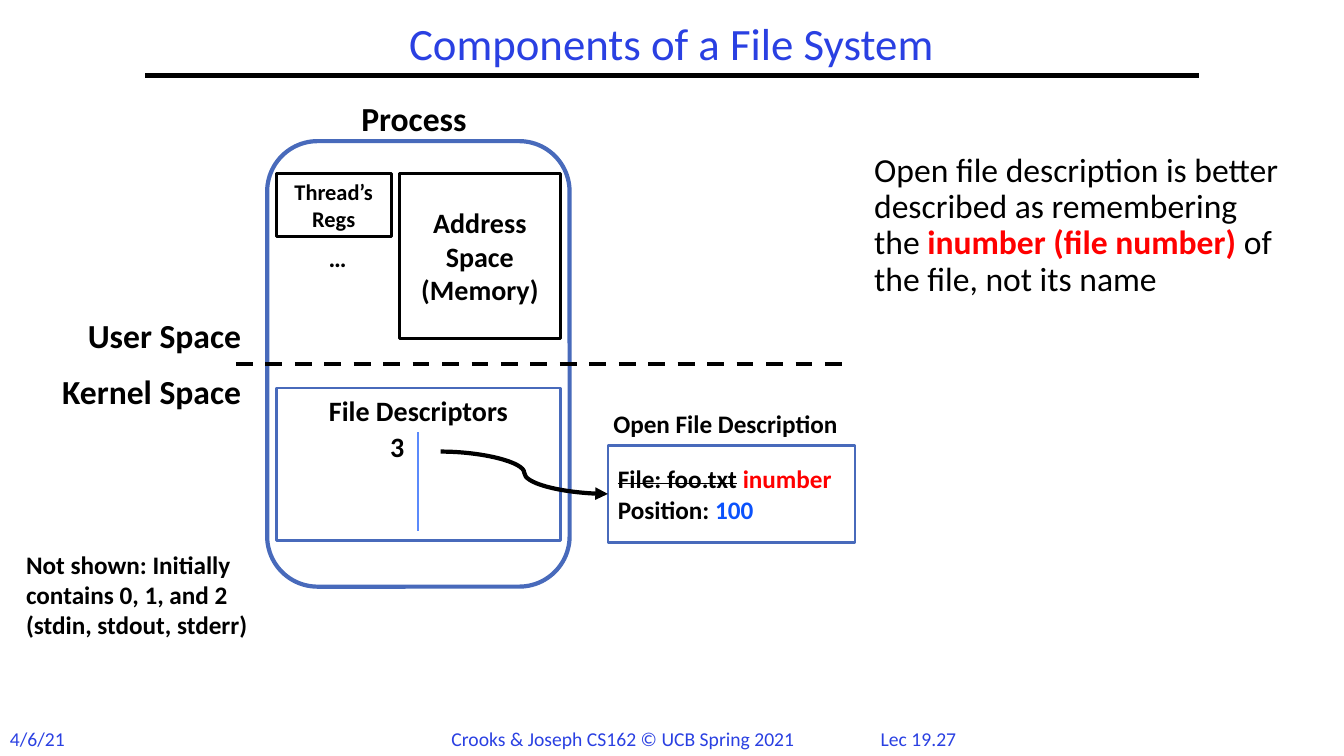
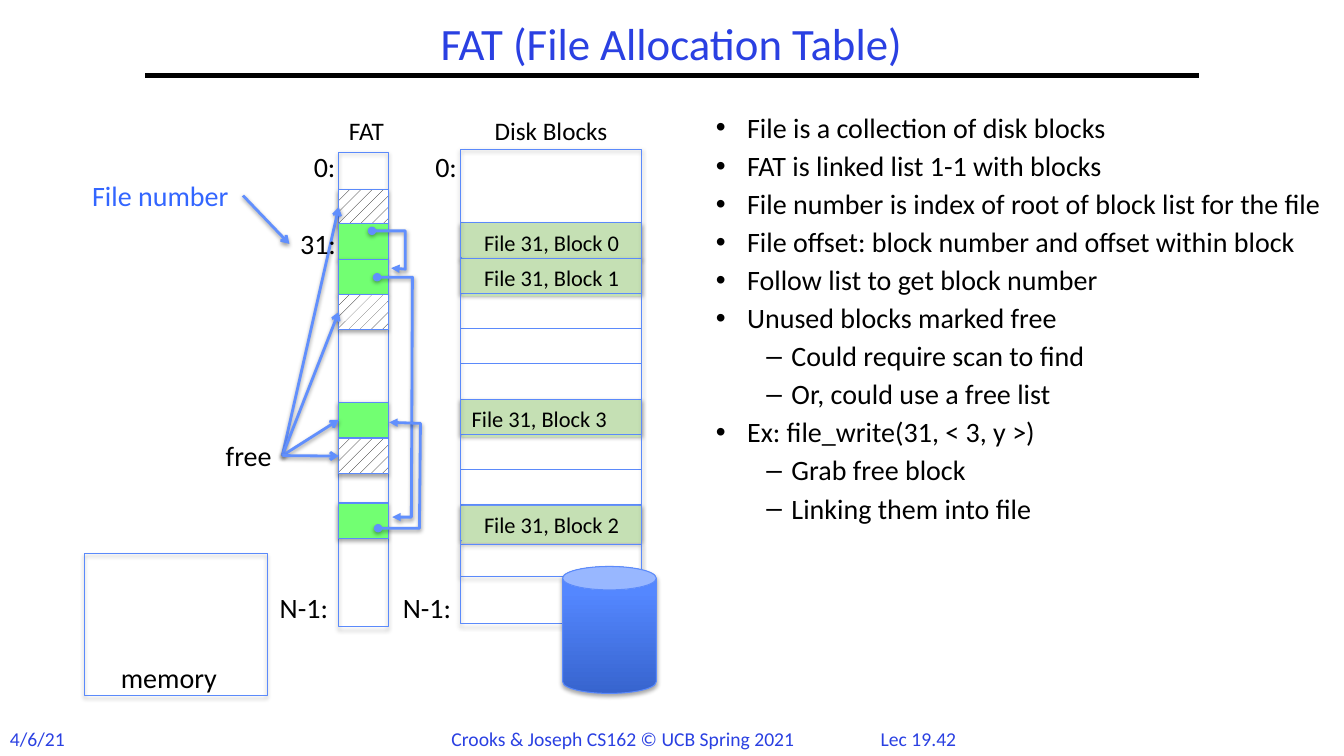
"""Build two lecture slides on file system components and the file allocation table."""
from dataclasses import dataclass
from typing import NamedTuple, Optional

from lxml import etree
from pptx import Presentation
from pptx.dml.color import RGBColor
from pptx.enum.dml import MSO_LINE, MSO_PATTERN
from pptx.enum.shapes import MSO_CONNECTOR, MSO_SHAPE
from pptx.enum.text import MSO_ANCHOR, MSO_AUTO_SIZE, PP_ALIGN
from pptx.oxml.ns import qn
from pptx.util import Inches, Pt

LEFT, CENTER, RIGHT = PP_ALIGN.LEFT, PP_ALIGN.CENTER, PP_ALIGN.RIGHT
TOP, MIDDLE = MSO_ANCHOR.TOP, MSO_ANCHOR.MIDDLE
RECT, ROUNDED, CAN = MSO_SHAPE.RECTANGLE, MSO_SHAPE.ROUNDED_RECTANGLE, MSO_SHAPE.CAN
STRAIGHT, CURVE = MSO_CONNECTOR.STRAIGHT, MSO_CONNECTOR.CURVE
FIT_SHAPE, NO_FIT = MSO_AUTO_SIZE.SHAPE_TO_FIT_TEXT, MSO_AUTO_SIZE.NONE
DASH, HATCH = MSO_LINE.DASH, MSO_PATTERN.PERCENT_10
LEFT_SIDE = 1
FONT = "Calibri"
COLORS = {
    "black": "000000", "white": "FFFFFF", "red": "FF0000", "title": "2A40E2",
    "frame": "486ABB", "edge": "5B8AFB", "arrow": "618FFD", "position": "0B52FC",
    "number": "3366FF", "used": "72FF72", "block": "C5E0B4",
    "can_dark": "3764CE", "can_light": "5487FF",
}


class Box(NamedTuple):
    left: float
    top: float
    width: float
    height: float


class Point(NamedTuple):
    x: float
    y: float


class Shadow(NamedTuple):
    alpha: int
    distance: float


@dataclass(frozen=True)
class Run:
    text: str
    color: str = "black"
    bold: bool = False
    strike: bool = False


@dataclass(frozen=True)
class Label:
    box: Box
    text: str
    size: int = 20
    align: PP_ALIGN = CENTER
    bold: bool = False
    color: str = "black"
    wrap: bool = False


@dataclass(frozen=True)
class Bullet:
    text: str
    level: int = 0


class FatCell(NamedTuple):
    top: float
    used: bool
    free_arrow: bool


class FileBlock(NamedTuple):
    row: int
    number: int
    align: PP_ALIGN


SHAPE_SHADOW, LINE_SHADOW = Shadow(35, 1.8), Shadow(38, 1.6)
FOOTERS = (
    Label(Box(0, 7.16, 0.8, 0.34), "4/6/21", 14, LEFT, color="title"),
    Label(Box(4.38, 7.16, 3.76, 0.34), "Crooks & Joseph CS162 © UCB Spring 2021",
          14, LEFT, color="title"),
)
PROCESS_LABELS = (
    Label(Box(0.45, 3.08, 2.04, 0.5), "User Space", 24, RIGHT, True),
    Label(Box(0.15, 3.63, 2.34, 0.5), "Kernel Space", 24, RIGHT, True),
    Label(Box(3.35, 0.92, 1.51, 0.5), "Process", 24, CENTER, True),
    Label(Box(3.75, 4.21, 0.36, 0.44), "3", 20, RIGHT, True),
    Label(Box(5.79, 4, 2.81, 0.4), "Open File Description", 18, CENTER, True),
    Label(Box(3.16, 2.35, 0.45, 0.4), "…", 18, LEFT, True),
    Label(Box(0.16, 5.4, 2.69, 1.31),
          "Not shown: Initially contains 0, 1, and 2 (stdin, stdout, stderr)",
          18, LEFT, True, wrap=True),
)
FAT_LABELS = (
    Label(Box(4.61, 1.09, 1.71, 0.4), "Disk Blocks", 18),
    Label(Box(3.31, 1.09, 0.65, 0.4), "FAT", 18),
    Label(Box(3.86, 5.81, 0.75, 0.44), "N-1:"),
    Label(Box(4.19, 1.43, 0.47, 0.44), "0:"),
    Label(Box(3, 1.43, 0.44, 0.44), "0:"),
    Label(Box(2.65, 5.81, 0.73, 0.44), "N-1:"),
    Label(Box(2.86, 2.2, 0.59, 0.44), "31:"),
    Label(Box(0.75, 1.72, 1.68, 0.44), "File number", color="number"),
    Label(Box(1.07, 6.5, 1.21, 0.44), "memory"),
    Label(Box(2.14, 4.3, 0.68, 0.44), "free", align=LEFT),
)
FAT_BULLETS = (
    Bullet("File is a collection of disk blocks"),
    Bullet("FAT is linked list 1-1 with blocks"),
    Bullet("File number is index of root of block list for the file"),
    Bullet("File offset: block number and offset within block"),
    Bullet("Follow list to get block number"),
    Bullet("Unused blocks marked free"),
    Bullet("Could require scan to find", 1),
    Bullet("Or, could use a free list", 1),
    Bullet("Ex: file_write(31, < 3, y >)"),
    Bullet("Grab free block", 1),
    Bullet("Linking them into file", 1),
)
BULLET_INDENTS = ((0.31, -0.31), (0.75, -0.25))
FAT_CELLS = (
    FatCell(1.88, False, True), FatCell(2.22, True, False), FatCell(2.57, True, False),
    FatCell(2.92, False, True), FatCell(3.99, True, True), FatCell(4.35, False, True),
    FatCell(4.99, True, False),
)
FAT_LEFT, FAT_WIDTH = 3.36, 0.49
DISK_LEFT, DISK_WIDTH = 4.57, 1.79
DISK_TOP, ROW_HEIGHT = 2.21, 0.35
EMPTY_ROWS = (2, 3, 4, 6, 7)
FILE_BLOCKS = (FileBlock(0, 0, CENTER), FileBlock(1, 1, CENTER),
               FileBlock(8, 2, CENTER), FileBlock(5, 3, LEFT))
CHAIN_LINKS = (
    (Point(3.69, 2.29), Point(4.02, 2.29), Point(4.02, 2.67), Point(3.88, 2.66)),
    (Point(3.74, 2.75), Point(4.09, 2.75), Point(4.08, 5.13), Point(3.89, 5.13)),
    (Point(3.75, 5.24), Point(4.16, 5.24), Point(4.17, 4.2), Point(3.86, 4.19)),
)


def rgb(name: str) -> RGBColor:
    return RGBColor.from_string(COLORS[name])


def place(sp, box: Box) -> None:
    sp.left, sp.top, sp.width, sp.height = map(Inches, box)


def add_runs(p, runs, size: int) -> None:
    for run in runs:
        r = p.add_run()
        r.text = run.text
        font = r.font
        font.name, font.size, font.bold = FONT, Pt(size), run.bold
        font.color.rgb = rgb(run.color)
        if run.strike:
            r._r.get_or_add_rPr().set("strike", "sngStrike")


def write(sp, paragraphs, size: int, align=CENTER, anchor=TOP) -> None:
    tf = sp.text_frame
    tf.vertical_anchor = anchor
    for i, runs in enumerate(paragraphs):
        p = tf.add_paragraph() if i else tf.paragraphs[0]
        p.alignment = align
        add_runs(p, runs, size)


def add_label(slide, label: Label) -> None:
    sp = slide.shapes.add_textbox(*map(Inches, label.box))
    tf = sp.text_frame
    tf.word_wrap, tf.auto_size = label.wrap, FIT_SHAPE
    write(sp, [[Run(label.text, label.color, label.bold)]], label.size, label.align)


def set_effects(sp, shadow: Optional[Shadow]) -> None:
    effects = etree.SubElement(sp._element.spPr, qn("a:effectLst"))
    if shadow:
        outer = etree.SubElement(effects, qn("a:outerShdw"), blurRad=str(Pt(3.1)),
                                 dist=str(Pt(shadow.distance)), dir="5400000",
                                 rotWithShape="0")
        color = etree.SubElement(outer, qn("a:srgbClr"), val=COLORS["black"])
        etree.SubElement(color, qn("a:alpha"), val=str(shadow.alpha * 1000))


def set_line(sp, color: str, width: float, head: str = "", tail: str = "", dash=None) -> None:
    sp.line.color.rgb = rgb(color)
    sp.line.width = Pt(width)
    if dash:
        sp.line.dash_style = dash
    for tag, kind in (("a:headEnd", head), ("a:tailEnd", tail)):
        if kind:
            etree.SubElement(sp.line._get_or_add_ln(), qn(tag), type=kind)


def add_box(slide, box: Box, fill: str = "", line: str = "edge", width: float = 0.75,
            shadow: Optional[Shadow] = None, kind=RECT):
    sp = slide.shapes.add_shape(kind, *map(Inches, box))
    if fill:
        sp.fill.solid()
        sp.fill.fore_color.rgb = rgb(fill)
    else:
        sp.fill.background()
    if line:
        set_line(sp, line, width)
    else:
        sp.line.fill.background()
    set_effects(sp, shadow)
    return sp


def add_line(slide, start: Point, end: Point, color: str, width: float, tail: str = "",
             dash=None, shadow: Optional[Shadow] = None, kind=STRAIGHT):
    c = slide.shapes.add_connector(kind, *map(Inches, (*start, *end)))
    set_line(c, color, width, tail=tail, dash=dash)
    set_effects(c, shadow)
    return c


def add_link(slide, points) -> None:
    first, *rest = [tuple(map(Inches, point)) for point in points]
    builder = slide.shapes.build_freeform(*first)
    builder.add_line_segments(rest, close=False)
    sp = builder.convert_to_shape()
    sp.fill.background()
    set_line(sp, "arrow", 2, "oval", "triangle")
    set_effects(sp, LINE_SHADOW)


def add_slide(prs, title: str, number: str, body_box: Box):
    slide = prs.slides.add_slide(prs.slide_layouts[1])
    add_line(slide, Point(1.44, 0.75), Point(11.89, 0.75), "black", 3)
    for label in (*FOOTERS, Label(Box(8.5, 7.16, 1.22, 0.33), number, 14, color="title")):
        add_label(slide, label)
    head, body = slide.shapes.title, slide.placeholders[1]
    place(head, Box(1.44, 0.17, 10.44, 0.58))
    place(body, body_box)
    for sp in (head, body):
        sp.text_frame.word_wrap, sp.text_frame.auto_size = True, NO_FIT
    write(head, [[Run(title, "title")]], 32, CENTER, MIDDLE)
    head.text_frame.paragraphs[0].line_spacing = 0.9
    return slide, body.text_frame


def format_body(p, first: bool, margin: float, indent: float) -> None:
    p.alignment, p.line_spacing = LEFT, 0.9
    p.space_before = Pt(0 if first else 5.6)
    pPr = p._p.get_or_add_pPr()
    pPr.set("marL", str(Inches(margin)))
    pPr.set("indent", str(Inches(indent)))


def build_components(prs) -> None:
    slide, tf = add_slide(prs, "Components of a File System", "Lec 19.27",
                          Box(8.57, 1.47, 4.26, 4.76))
    p = tf.paragraphs[0]
    format_body(p, True, 0, 0)
    etree.SubElement(p._p.get_or_add_pPr(), qn("a:buNone"))
    add_runs(p, (Run("Open file description is better described as remembering the "),
                 Run("inumber (file number)", "red", True),
                 Run(" of the file, not its name")), 24)
    add_box(slide, Box(2.65, 1.4, 3, 4.42), line="frame", width=3, kind=ROUNDED)
    add_line(slide, Point(2.34, 3.61), Point(8.36, 3.61), "black", 3, dash=DASH)
    for box, line, text, size, anchor in (
        (Box(3.96, 1.72, 1.6, 1.64), "black", "Address Space (Memory)", 20, MIDDLE),
        (Box(2.74, 1.72, 1.14, 0.63), "black", "Thread’s Regs", 16, MIDDLE),
        (Box(2.74, 3.85, 2.82, 1.51), "frame", "File Descriptors", 20, TOP),
    ):
        sp = add_box(slide, box, "white", line, 2)
        write(sp, [[Run(text, bold=True)]], size, CENTER, anchor)
    add_line(slide, Point(4.15, 4.29), Point(4.15, 5.27), "edge", 1.5)
    description = add_box(slide, Box(6.03, 4.42, 2.45, 0.96), "white", "frame", 2)
    write(description, (
        (Run("File: foo.txt", bold=True, strike=True), Run(" ", bold=True),
         Run("inumber", "red", True)),
        (Run("Position: ", bold=True), Run("100", "position", True)),
    ), 18, LEFT, MIDDLE)
    for label in PROCESS_LABELS:
        add_label(slide, label)
    add_line(slide, Point(4.37, 4.48), Point(6.03, 4.9), "black", 3, "triangle", kind=CURVE)


def build_fat(prs) -> None:
    slide, tf = add_slide(prs, "FAT (File Allocation Table)", "Lec 19.42",
                          Box(7, 1.08, 6.25, 5.85))
    for i, bullet in enumerate(FAT_BULLETS):
        p = tf.add_paragraph() if i else tf.paragraphs[0]
        p.level = bullet.level
        format_body(p, i == 0, *BULLET_INDENTS[bullet.level])
        add_runs(p, [Run(bullet.text)], 20)

    for block in FILE_BLOCKS:
        top = DISK_TOP + block.row * ROW_HEIGHT
        add_box(slide, Box(DISK_LEFT, top, DISK_WIDTH, ROW_HEIGHT), "block",
                shadow=SHAPE_SHADOW)
        sp = add_box(slide, Box(DISK_LEFT + 0.01, top + 0.01, 1.78, 0.37), "block", "")
        write(sp, [[Run(f"File 31, Block {block.number}")]], 16, block.align)
    for row in EMPTY_ROWS:
        add_box(slide, Box(DISK_LEFT, DISK_TOP + row * ROW_HEIGHT, DISK_WIDTH, ROW_HEIGHT))
    for box in (Box(DISK_LEFT, 5.4, DISK_WIDTH, 0.32), Box(DISK_LEFT, 1.48, DISK_WIDTH, 4.71),
                Box(FAT_LEFT, 1.51, FAT_WIDTH, 4.71), Box(0.84, 5.49, 1.81, 1.41)):
        add_box(slide, box, shadow=SHAPE_SHADOW)
    disk = add_box(slide, Box(5.58, 5.62, 0.93, 1.26), shadow=SHAPE_SHADOW, kind=CAN)
    disk.fill.gradient()
    disk.fill.gradient_angle = 90
    for stop, color, position in zip(disk.fill.gradient_stops, ("can_dark", "can_light"),
                                     (0, 0.8)):
        stop.color.rgb, stop.position = rgb(color), position

    for cell in FAT_CELLS:
        sp = add_box(slide, Box(FAT_LEFT, cell.top, FAT_WIDTH, ROW_HEIGHT), "used",
                     shadow=SHAPE_SHADOW)
        if not cell.used:
            sp.fill.patterned()
            sp.fill.pattern = HATCH
            sp.fill.fore_color.rgb, sp.fill.back_color.rgb = rgb("black"), rgb("white")
        if cell.free_arrow:
            c = add_line(slide, Point(2.8, 4.52), Point(FAT_LEFT, cell.top + ROW_HEIGHT / 2),
                         "arrow", 2, "arrow", shadow=LINE_SHADOW)
            c.end_connect(sp, LEFT_SIDE)
    add_line(slide, Point(2.41, 1.94), Point(2.87, 2.42), "arrow", 2, "arrow",
             shadow=LINE_SHADOW)
    for points in CHAIN_LINKS:
        add_link(slide, points)
    for label in FAT_LABELS:
        add_label(slide, label)


def main() -> None:
    prs = Presentation()
    prs.slide_width, prs.slide_height = Inches(13.33), Inches(7.5)
    build_components(prs)
    build_fat(prs)
    prs.save("out.pptx")


if __name__ == "__main__":
    main()
